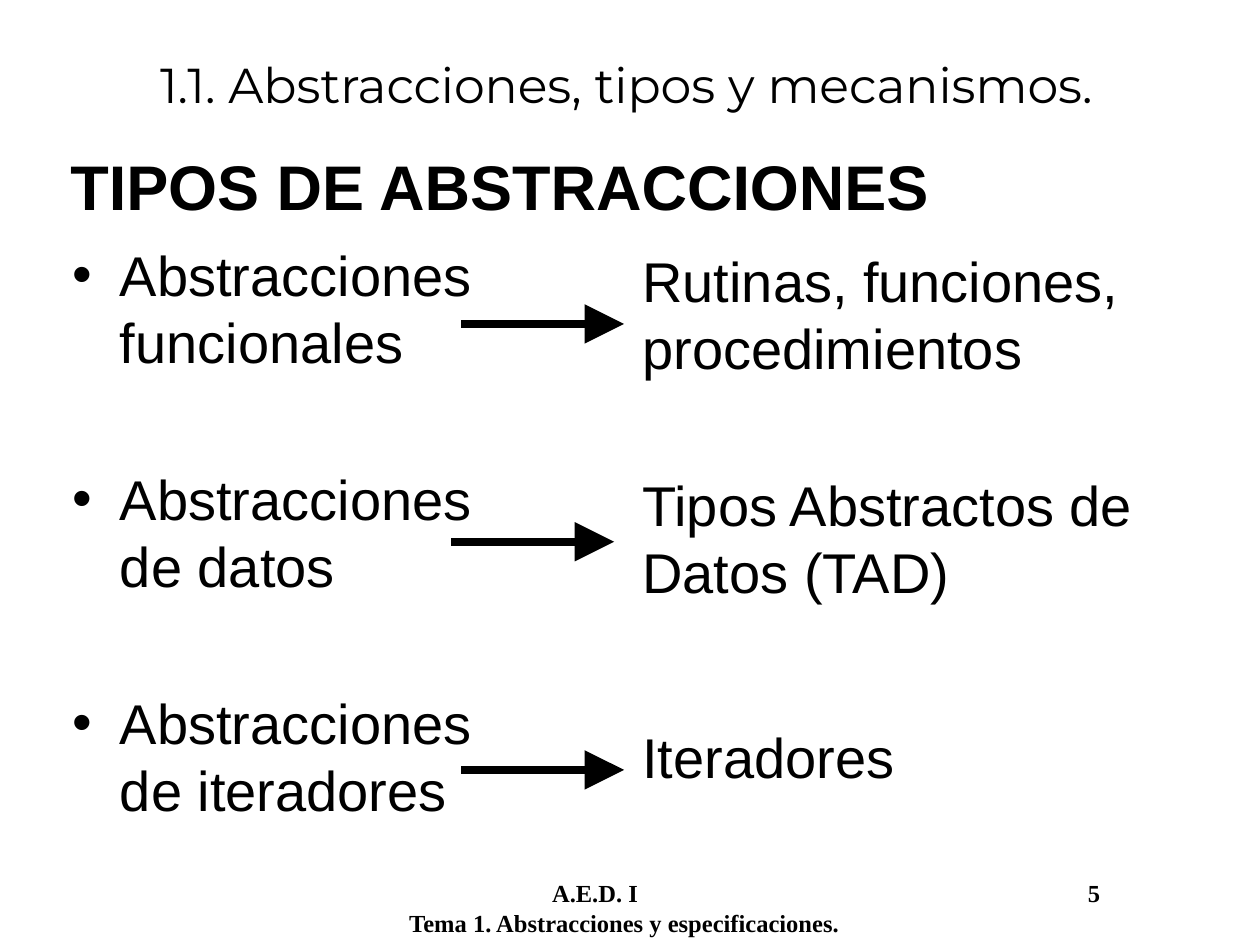
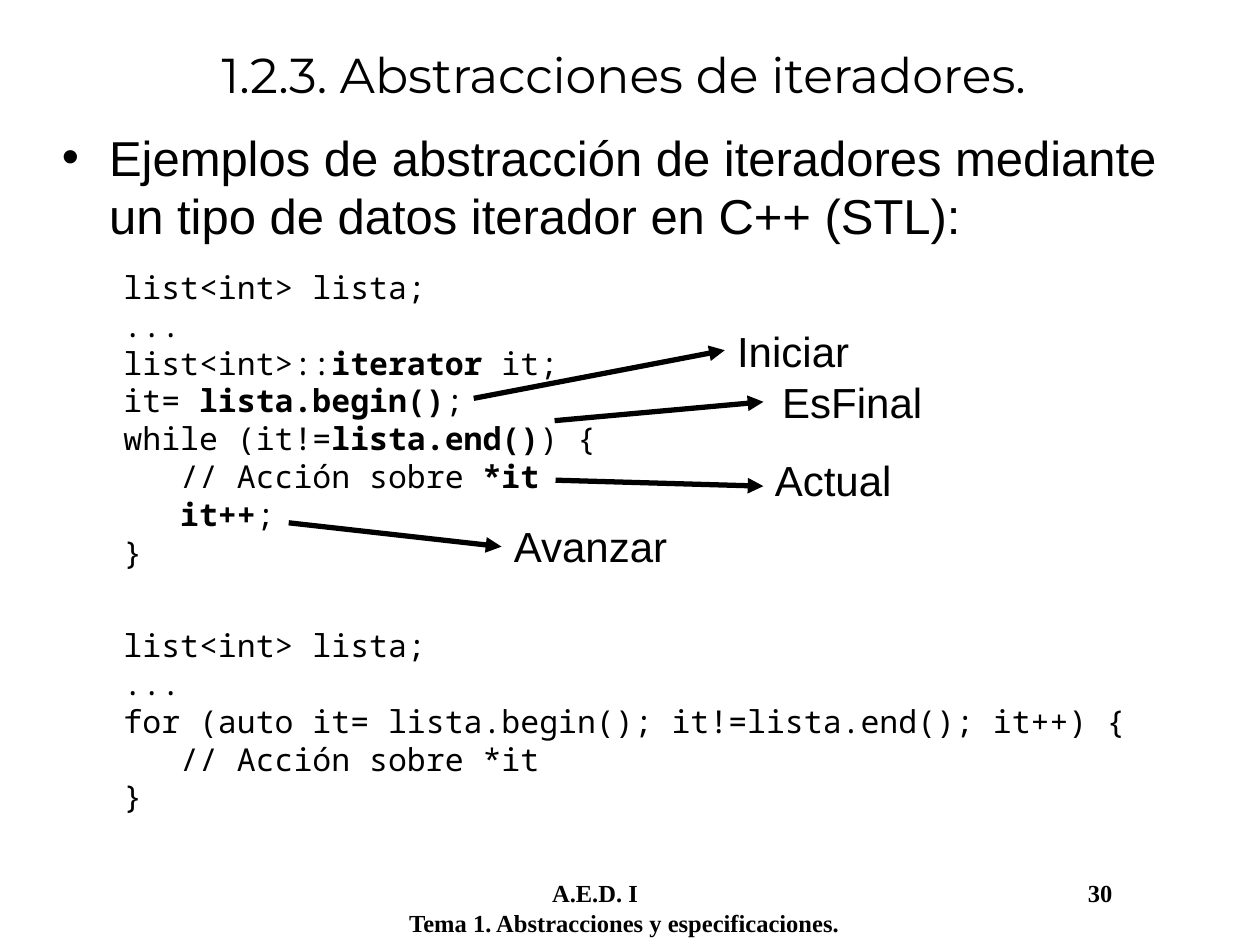
from pptx import Presentation
from pptx.dml.color import RGBColor
from pptx.enum.shapes import MSO_CONNECTOR
from pptx.enum.text import MSO_ANCHOR, PP_ALIGN
from pptx.oxml.ns import qn
from pptx.util import Cm, Pt
from lxml.etree import SubElement

COLORS = {"ink": "000000", "paper": "FFFFFF"}
FONTS = {"title": "Montserrat", "body": "Arial", "code": "Noto Sans Mono", "foot": "Times New Roman"}
LEAD = 1.2
HANG = 0.95


class Deck:
    def __init__(self):
        self.prs = Presentation()
        self.prs.slide_width = Cm(25.4)
        self.prs.slide_height = Cm(19.05)
        self.slide = None

    def color(self, name):
        return RGBColor.from_string(COLORS[name])

    def style(self, run, font, size, bold=False):
        run.font.name = FONTS[font]
        run.font.size = Pt(size)
        run.font.bold = bold
        run.font.color.rgb = self.color("ink")

    def page(self, title, left, top, number):
        self.slide = self.prs.slides.add_slide(self.prs.slide_layouts[5])
        fill = self.slide.background.fill
        fill.solid()
        fill.fore_color.rgb = self.color("paper")
        self.footer(number)
        head = self.slide.shapes.title
        head.left, head.top, head.width, head.height = Cm(left), Cm(top), Cm(24.13), Cm(1.9)
        frame = head.text_frame
        frame.text = title
        frame.vertical_anchor = MSO_ANCHOR.MIDDLE
        para = frame.paragraphs[0]
        para.alignment = PP_ALIGN.CENTER
        self.style(para.runs[0], "title", 28)

    def text(self, lines, box, size, font="body", bold=False, gaps=(), bullet=False):
        shape = self.slide.shapes.add_textbox(*(Cm(v) for v in box))
        frame = shape.text_frame
        frame.word_wrap = True
        frame.text = "\n".join(line.replace("\n", "\v") for line in lines)
        for para in frame.paragraphs:
            para.line_spacing = Pt(size * LEAD)
            for run in para.runs:
                self.style(run, font, size, bold)
            if bullet:
                self.bullet(para)
        for para, gap in zip(frame.paragraphs[1:], gaps):
            para.space_before = Pt(gap)
        return frame

    def bullet(self, para):
        props = para._p.get_or_add_pPr()
        props.set("marL", str(Cm(HANG)))
        props.set("indent", str(-Cm(HANG)))
        SubElement(props, qn("a:buFont"), typeface=FONTS["body"])
        SubElement(props, qn("a:buChar"), char="•")

    def code(self, lines, box):
        frame = self.text(lines, box, 18, "code")
        for para, line in zip(frame.paragraphs, lines):
            parts = line.split("|")
            para.runs[0].text = parts[0]
            for i, part in enumerate(parts[1:], 1):
                if part:
                    run = para.add_run()
                    run.text = part
                    self.style(run, "code", 18, i % 2 == 1)

    def arrow(self, start, end, width, head):
        line = self.slide.shapes.add_connector(
            MSO_CONNECTOR.STRAIGHT, *(Cm(v) for v in start + end))
        line.line.width = Pt(width)
        line.line.color.rgb = self.color("ink")
        SubElement(line.line._get_or_add_ln(), qn("a:tailEnd"), type="triangle", w=head, len=head)
        SubElement(line._element.spPr, qn("a:effectLst"))

    def footer(self, number):
        lines = [f"\tA.E.D. I\t{number}", "Tema 1. Abstracciones y especificaciones."]
        frame = self.text(lines, (8, 17.58, 16.87, 1.07), 14, "foot", True)
        tabs = SubElement(frame.paragraphs[0]._p.get_or_add_pPr(), qn("a:tabLst"))
        for stop in (2.88, 13.68):
            SubElement(tabs, qn("a:tab"), pos=str(Cm(stop)), algn="l")


def kinds(deck):
    deck.page("1.1. Abstracciones, tipos y mecanismos.", 0.56, 0.74, 5)
    deck.text(["TIPOS DE ABSTRACCIONES"], (1.17, 2.84, 22.96, 2.39), 36, bold=True)
    names = ["funcionales", "de datos", "de iteradores"]
    deck.text([f"Abstracciones\n{name}" for name in names],
              (1.22, 4.72, 9.88, 13), 32, gaps=(51.2, 51.2), bullet=True)
    deck.text(["Rutinas, funciones,\nprocedimientos", "Tipos Abstractos de\nDatos (TAD)", "Iteradores"],
              (12.7, 4.85, 12.04, 13), 32, gaps=(51.2, 67.2))
    for x, y in [(9.3, 6.53), (9.1, 10.92), (9.3, 15.52)]:
        deck.arrow((x, y), (x + 3.28, y), 4.5, "lg")


def loops(deck):
    deck.page("1.2.3. Abstracciones de iteradores.", 0.51, 0.53, 30)
    deck.text(["Ejemplos de abstracción de iteradores mediante un tipo de datos iterador en C++ (STL):"],
              (1, 2.44, 23.65, 9.27), 28, bullet=True)
    deck.code(["list<int> lista;", "...", "list<int>::|iterator |it;", "it= |lista.begin()|;",
               "while (it!=|lista.end()|) {", "   // Acción sobre |*it", "   |it++|;", "}"],
              (2.24, 5.28, 10.57, 6.4))
    deck.code(["list<int> lista;", "...", "for (auto it= lista.begin(); it!=lista.end(); it++) {",
               "   // Acción sobre *it", "}"], (2.24, 12.5, 21.31, 4.11))
    calls = [
        ("Iniciar", (9.55, 8.03), (14.61, 7.06), (14.61, 6.43)),
        ("EsFinal", (11.18, 8.48), (15.39, 8.1), (15.52, 7.47)),
        ("Actual", (11.2, 9.68), (15.39, 9.8), (15.37, 9.04)),
        ("Avanzar", (5.82, 10.54), (10.11, 11.02), (10.11, 10.36)),
    ]
    for name, start, end, spot in calls:
        deck.arrow(start, end, 3, "med")
        deck.text([name], spot + (4.11, 1.27), 24)


def main():
    deck = Deck()
    kinds(deck)
    loops(deck)
    deck.prs.save("out.pptx")


if __name__ == "__main__":
    main()
